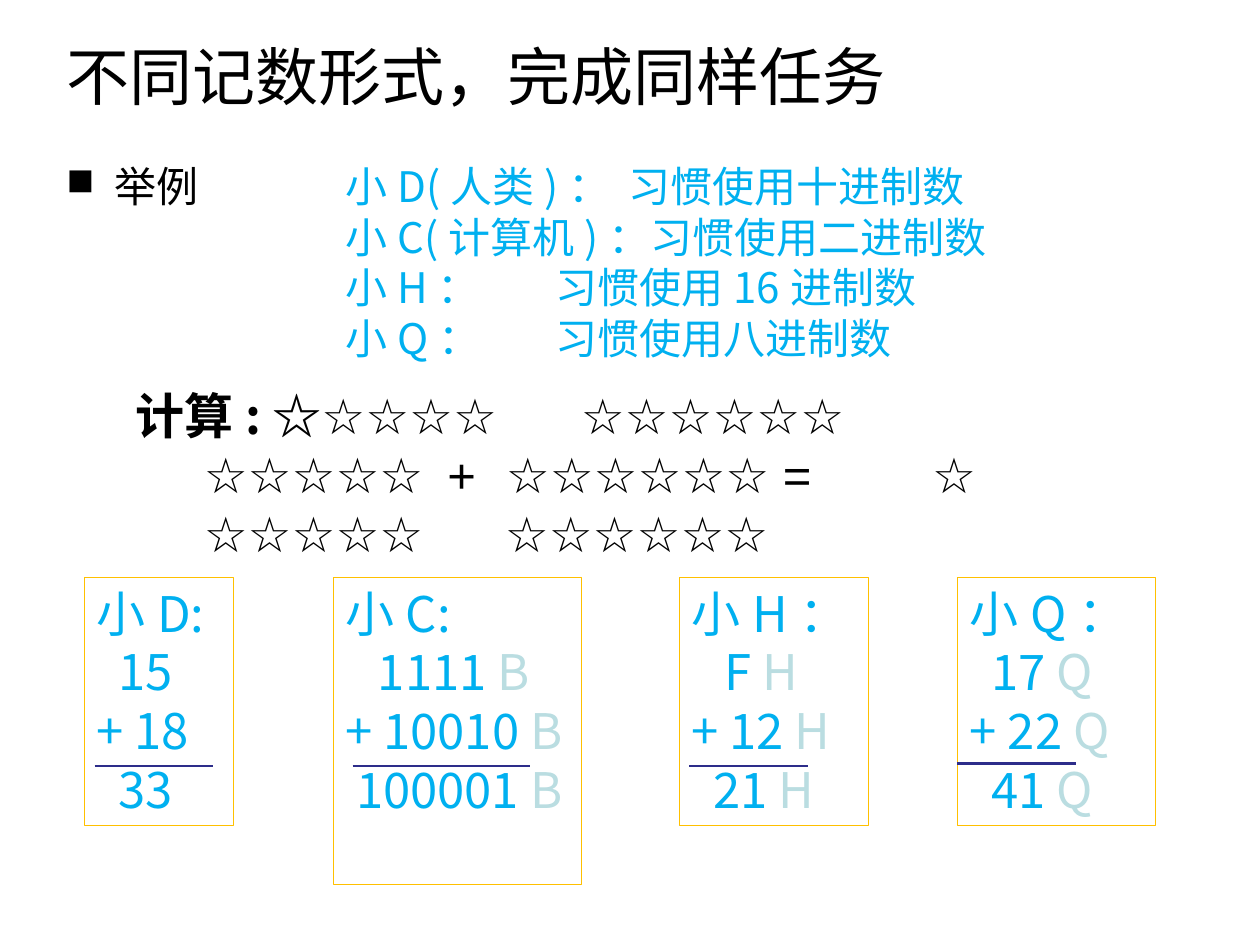
from dataclasses import dataclass

from lxml import etree
from pptx import Presentation
from pptx.dml.color import RGBColor
from pptx.enum.shapes import MSO_CONNECTOR, MSO_SHAPE
from pptx.enum.text import MSO_ANCHOR, PP_ALIGN
from pptx.oxml.ns import qn
from pptx.util import Cm, Pt

STRAIGHT = MSO_CONNECTOR.STRAIGHT
RECTANGLE = MSO_SHAPE.RECTANGLE
TOP, MIDDLE = MSO_ANCHOR.TOP, MSO_ANCHOR.MIDDLE
LEFT = PP_ALIGN.LEFT


@dataclass(frozen=True)
class Theme:
    ink: str = "000000"
    accent: str = "00B0F0"
    suffix: str = "BADDE1"
    frame: str = "FFC000"
    rule: str = "2D2D8A"
    title_size: int = 36
    body_size: int = 24
    sum_size: int = 28
    sans: str = "Noto Sans CJK SC"
    latin: str = "Arial"
    serif: str = "Times New Roman"


class SlideBuilder:
    """Draws the elements of one slide in a shared style."""

    def __init__(self, slide, theme):
        self.slide = slide
        self.theme = theme

    def prepare(self, frame, anchor=TOP):
        frame.word_wrap = True
        frame.vertical_anchor = anchor
        return frame

    def text(self, left, top, width, height, anchor=TOP):
        box = self.slide.shapes.add_textbox(Cm(left), Cm(top), Cm(width), Cm(height))
        return self.prepare(box.text_frame, anchor)

    def paragraph(self, frame, first, size, font, color, tabs=()):
        paragraph = frame.paragraphs[0] if first else frame.add_paragraph()
        paragraph.alignment = LEFT
        if tabs:
            properties = paragraph._p.get_or_add_pPr()
            stops = etree.SubElement(properties, qn("a:tabLst"))
            for stop in tabs:
                etree.SubElement(stops, qn("a:tab"), pos=str(Cm(stop)), algn="l")
        paragraph.font.size = Pt(size)
        paragraph.font.name = font
        paragraph.font.color.rgb = RGBColor.from_string(color)
        return paragraph

    def run(self, paragraph, wording):
        run = paragraph.add_run()
        run.text = wording
        return run

    def bullet(self, paragraph, mark, indent):
        properties = paragraph._p.get_or_add_pPr()
        properties.set("marL", str(Cm(indent)))
        properties.set("indent", str(-Cm(indent)))
        size = etree.Element(qn("a:buSzPct"), val="90000")
        symbol = etree.Element(qn("a:buChar"), char=mark)
        properties.insert(0, size)
        properties.insert(1, symbol)

    def rule(self, left, top, width):
        line = self.slide.shapes.add_connector(
            STRAIGHT, Cm(left), Cm(top), Cm(left + width), Cm(top))
        line.line.color.rgb = RGBColor.from_string(self.theme.rule)
        line.line.width = Pt(1.5)
        etree.SubElement(line._element.spPr, qn("a:effectLst"))

    def addition(self, left, width, height, heading, rows, suffix, space=0.22):
        theme = self.theme
        card = self.slide.shapes.add_shape(
            RECTANGLE, Cm(left), Cm(11.63), Cm(width), Cm(height))
        card.shadow.inherit = False
        card.fill.background()
        card.line.color.rgb = RGBColor.from_string(theme.frame)
        card.line.width = Pt(0.25)
        frame = self.prepare(card.text_frame)
        style = theme.sum_size, theme.sans, theme.accent
        self.run(self.paragraph(frame, True, *style), heading)
        for spaces, number in rows:
            row = self.paragraph(frame, False, *style)
            row._p.get_or_add_pPr().set("marL", str(Cm(spaces * space)))
            self.run(row, f"{number} " if suffix else number)
            if suffix:
                base = self.run(row, suffix)
                base.font.color.rgb = RGBColor.from_string(theme.suffix)


def main():
    deck = Presentation()
    deck.slide_width, deck.slide_height = Cm(25.4), Cm(19.05)
    theme = Theme()
    page = SlideBuilder(deck.slides.add_slide(deck.slide_layouts[6]), theme)

    title = page.text(1.09, -0.08, 22.86, 3.18, MIDDLE)
    page.run(page.paragraph(title, True, theme.title_size, theme.latin, theme.ink),
             "不同记数形式，完成同样任务")

    example = page.text(1.09, 3.12, 22.86, 1.88)
    label = page.paragraph(example, True, theme.body_size, theme.serif, theme.ink)
    label.space_before = Pt(6)
    page.bullet(label, "■", 0.97)
    page.run(label, "举例")

    habits = page.text(6.71, 3.12, 15.39, 4.32)
    for index, (habit, stop) in enumerate([
        ("小D(人类)：\t习惯使用十进制数", 5.72),
        ("小C(计算机)：习惯使用二进制数", 5.72),
        ("小H：\t习惯使用16进制数", 4.24),
        ("小Q：\t习惯使用八进制数", 4.24),
    ]):
        line = page.paragraph(habits, index == 0, theme.body_size, theme.sans,
                              theme.accent, [stop])
        page.run(line, habit)

    stars = page.text(2.49, 7.65, 20.4, 3.81)
    style = theme.sum_size, theme.latin, theme.ink
    first = page.paragraph(stars, True, *style, [8.97])
    task = page.run(first, "计算: ☆")
    task.font.bold = True
    task.font.name = theme.sans
    page.run(first, "☆☆☆☆\t☆☆☆☆☆☆")
    second = page.paragraph(stars, False, *style, [1.37, 6.28, 7.46, 16.05])
    page.run(second, "\t☆☆☆☆☆\t+\t☆☆☆☆☆☆ = ")
    page.run(second, "\t").font.underline = True
    page.run(second, "☆")
    third = page.paragraph(stars, False, *style, [1.37, 7.44])
    page.run(third, "\t☆☆☆☆☆\t☆☆☆☆☆☆")

    for left, width, height, heading, rows, suffix, rule in [
        (1.7, 3, 5, "小D:", [(2, "15"), (0, "+ 18"), (2, "33")], "",
         (1.91, 15.44, 2.39)),
        (6.71, 5, 6.2, "小C:", [(3, "1111"), (0, "+ 10010"), (1, "100001")], "B",
         (7.11, 15.44, 3.58)),
        (13.69, 3.81, 5, "小H：", [(3, "F"), (0, "+ 12"), (2, "21")], "H",
         (13.89, 15.44, 2.4)),
        (19.3, 3.99, 5, "小Q：", [(2, "17"), (0, "+ 22"), (2, "41")], "Q",
         (19.3, 15.39, 2.39)),
    ]:
        page.addition(left, width, height, heading, rows, suffix)
        page.rule(*rule)

    deck.save("out.pptx")


if __name__ == "__main__":
    main()
